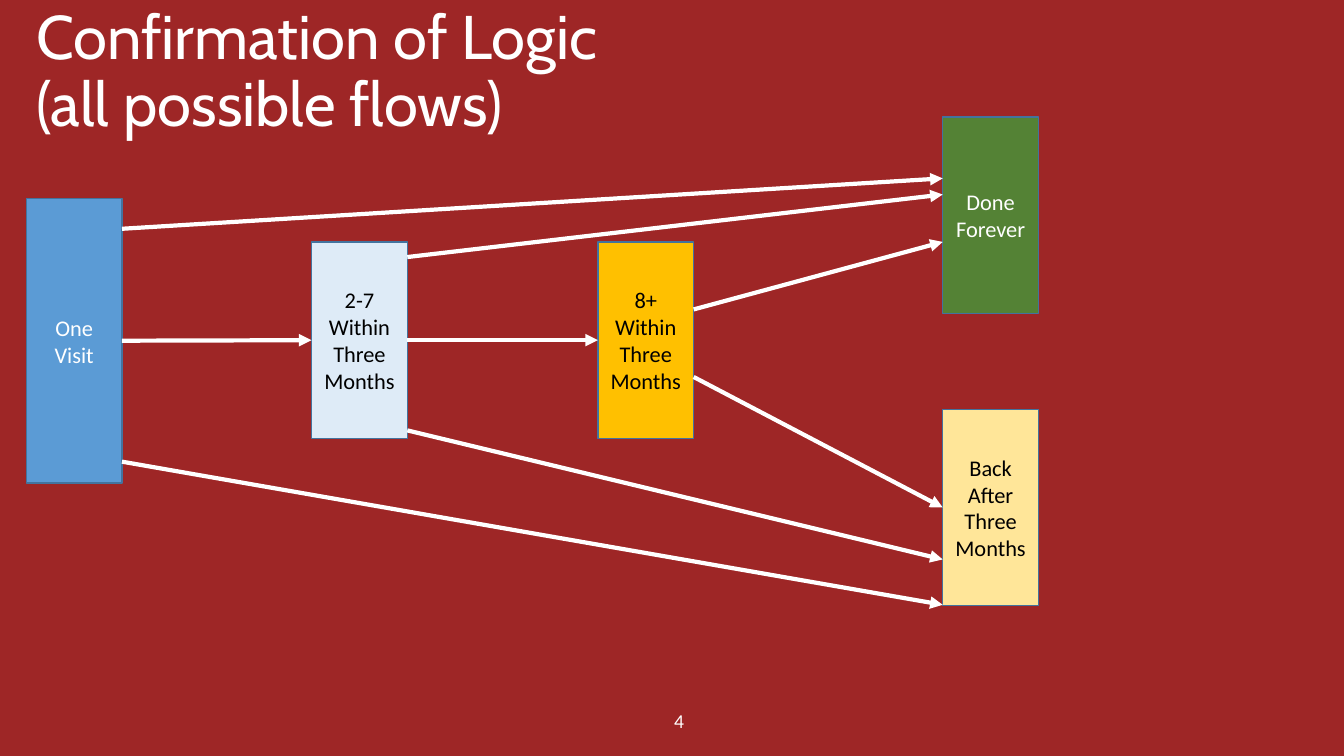
from lxml.etree import SubElement
from pptx import Presentation
from pptx.dml.color import RGBColor
from pptx.enum.shapes import MSO_CONNECTOR, MSO_SHAPE
from pptx.enum.text import MSO_ANCHOR, MSO_AUTO_SIZE, PP_ALIGN
from pptx.oxml.ns import qn
from pptx.util import Inches, Pt

WHITE = RGBColor(0xFF, 0xFF, 0xFF)
BLACK = RGBColor(0x00, 0x00, 0x00)
DARK_RED = RGBColor(0x8E, 0x00, 0x00)
OUTLINE = RGBColor(0x43, 0x73, 0x9E)
BLUE = RGBColor(0x5B, 0x9B, 0xD5)
PALE_BLUE = RGBColor(0xDE, 0xEB, 0xF7)
AMBER = RGBColor(0xFF, 0xC0, 0x00)
PALE_YELLOW = RGBColor(0xFF, 0xE6, 0x99)
GREEN = RGBColor(0x54, 0x82, 0x35)

RIGHT_SITE, LEFT_SITE = 3, 1
BOX_WIDTH, BOX_HEIGHT = 0.95, 1.95


class FlowSlide:
    """Holds the style and the current slide."""

    title_font = {"name": "Cabin", "size": Pt(44), "bold": False}
    number_font = {"name": "Calibri", "size": Pt(14)}
    box_font = {"name": "Calibri", "size": Pt(16)}
    frame_format = {"word_wrap": True, "auto_size": MSO_AUTO_SIZE.NONE,
                    "vertical_anchor": MSO_ANCHOR.MIDDLE}

    def __init__(self, deck):
        self.slide = deck.slides.add_slide(deck.slide_layouts[5])
        self.shapes = self.slide.shapes

    def apply(self, target, values):
        for name, value in values.items():
            setattr(target, name, value)

    def set_text(self, holder, words, font, color, align=PP_ALIGN.CENTER):
        frame = holder.text_frame
        self.apply(frame, self.frame_format)
        frame.text = words
        paragraph = frame.paragraphs[0]
        paragraph.alignment = align
        for run in paragraph.runs:
            self.apply(run.font, font)
            run.font.color.rgb = color
        return paragraph

    def rectangle(self, left, top, width, height, fill):
        panel = self.shapes.add_shape(
            MSO_SHAPE.RECTANGLE, Inches(left), Inches(top), Inches(width), Inches(height))
        panel.shadow.inherit = False
        panel.fill.solid()
        panel.fill.fore_color.rgb = fill
        return panel

    def backdrop(self, left, top, width, height, opacity):
        panel = self.rectangle(left, top, width, height, DARK_RED)
        panel.line.fill.background()
        color = panel._element.spPr.find(qn("a:solidFill"))[0]
        SubElement(color, qn("a:alpha")).set("val", str(opacity * 1000))
        # Send behind the title
        self.shapes._spTree.insert(2, panel._element)

    def title(self, words, left, top, width, height):
        heading = self.shapes.title
        self.apply(heading, {"left": Inches(left), "top": Inches(top),
                             "width": Inches(width), "height": Inches(height)})
        paragraph = self.set_text(heading, words, self.title_font, WHITE, PP_ALIGN.LEFT)
        paragraph.line_spacing = 0.9

    def page_number(self, words, left, top, width, height):
        number = self.shapes.add_textbox(
            Inches(left), Inches(top), Inches(width), Inches(height))
        self.set_text(number, words, self.number_font, WHITE)

    def box(self, words, left, top, fill, color=BLACK, height=BOX_HEIGHT):
        state = self.rectangle(left, top, BOX_WIDTH, height, fill)
        state.line.color.rgb = OUTLINE
        state.line.width = Pt(1)
        self.set_text(state, words, self.box_font, color)
        return state

    def arrow(self, source, target, start=None, end=None):
        """Run from right side to left side; a height of None means mid-side."""
        flow = self.shapes.add_connector(
            MSO_CONNECTOR.STRAIGHT,
            source.left + source.width, Inches(start or 0),
            target.left, Inches(end or 0))
        if start is None:
            flow.begin_connect(source, RIGHT_SITE)
        if end is None:
            flow.end_connect(target, LEFT_SITE)
        flow.line.color.rgb = WHITE
        flow.line.width = Pt(3)
        properties = flow._element.spPr
        SubElement(properties.find(qn("a:ln")), qn("a:tailEnd")).set("type", "triangle")
        SubElement(properties, qn("a:effectLst"))


def main():
    deck = Presentation()
    deck.slide_width, deck.slide_height = Inches(13.33), Inches(7.5)
    page = FlowSlide(deck)

    # Background, title and page number
    page.backdrop(-0.17, 0, 13.51, 7.6, opacity=85)
    page.title("Confirmation of Logic\v(all possible flows)", 0.26, 0, 12.66, 1.45)
    page.page_number("4", 6.14, 6.95, 1.19, 0.4)

    # Visit states
    one_visit = page.box("One Visit", 0.26, 1.97, BLUE, WHITE, height=2.82)
    few_visits = page.box("2-7 Within Three Months", 3.09, 2.4, PALE_BLUE)
    many_visits = page.box("8+ Within Three Months", 5.93, 2.4, AMBER)
    back_later = page.box("Back After Three Months", 9.35, 4.06, PALE_YELLOW)
    done = page.box("Done Forever", 9.35, 1.16, GREEN, WHITE)

    # Flows between states
    for flow in (
        (one_visit, few_visits),
        (few_visits, many_visits),
        (many_visits, done, 3.07, 2.4),
        (many_visits, back_later, 3.74),
        (one_visit, done, 2.27, 1.77),
        (one_visit, back_later, 4.58, 6),
        (few_visits, done, 2.55, 1.93),
        (few_visits, back_later, 4.27, 5.55),
    ):
        page.arrow(*flow)

    deck.save("out.pptx")


if __name__ == "__main__":
    main()
